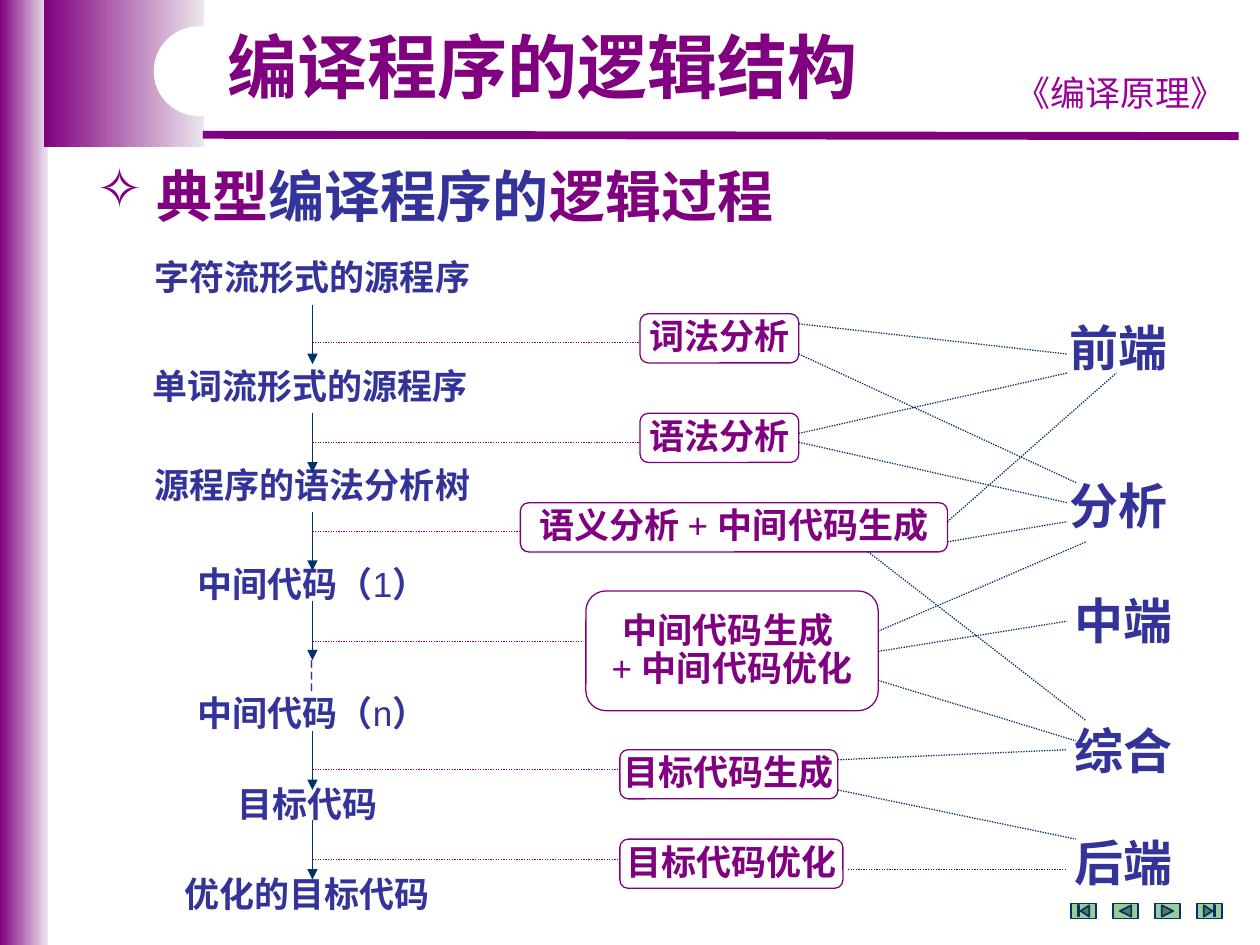
"""Builds a slide on the logical structure of a compiler."""
from lxml import etree
from pptx import Presentation
from pptx.dml.color import RGBColor
from pptx.enum.dml import MSO_LINE
from pptx.enum.shapes import MSO_CONNECTOR, MSO_SHAPE
from pptx.enum.text import MSO_ANCHOR, MSO_AUTO_SIZE, PP_ALIGN
from pptx.oxml.ns import qn
from pptx.util import Inches, Pt

THEME = {
    "purple": RGBColor(0x80, 0x00, 0x80),
    "pale": RGBColor(0xED, 0xE7, 0xED),
    "magenta": RGBColor(0x99, 0x00, 0x99),
    "blue": RGBColor(0x33, 0x33, 0x99),
    "navy": RGBColor(0x00, 0x33, 0x66),
    "green": RGBColor(0x99, 0xCC, 0x99),
    "white": RGBColor(0xFF, 0xFF, 0xFF),
    "title": Pt(40),
    "heading": Pt(32),
    "side": Pt(28),
    "body": Pt(20),
    "font": "Arial",
    "tag_font": "Comic Neue",
    "dash_font": "Noto Sans CJK SC",
}
PLAIN = {"bold": False}
RECTANGLE, ROUNDED = MSO_SHAPE.RECTANGLE, MSO_SHAPE.ROUNDED_RECTANGLE
STRAIGHT, DOTTED = MSO_CONNECTOR.STRAIGHT, MSO_LINE.ROUND_DOT
TOP, MIDDLE = MSO_ANCHOR.TOP, MSO_ANCHOR.MIDDLE
FIXED, CENTER, LEFT = MSO_AUTO_SIZE.NONE, PP_ALIGN.CENTER, PP_ALIGN.LEFT


def write_text(shape, lines, size, color, wrap=True, anchor=TOP, spacing=0.9, align=CENTER, **changes):
    frame = shape.text_frame
    frame_format = {"auto_size": FIXED, "word_wrap": wrap, "vertical_anchor": anchor}
    for name, value in frame_format.items():
        setattr(frame, name, value)
    for index, runs in enumerate(lines):
        paragraph = frame.add_paragraph() if index else frame.paragraphs[0]
        paragraph.alignment, paragraph.line_spacing = align, spacing
        for text, run_changes in runs:
            run = paragraph.add_run()
            run.text = text
            font_format = {"name": THEME["font"], "size": size, "bold": True, "color": color}
            font_format.update(changes)
            font_format.update(run_changes)
            run.font.color.rgb = font_format.pop("color")
            for name, value in font_format.items():
                setattr(run.font, name, value)


def draw_line(start, end, color, width=0.75, dash=None, arrow=False):
    connector = slide.shapes.add_connector(STRAIGHT, *map(Inches, start + end))
    connector.line.color.rgb = color
    connector.line.width = Pt(width)
    if dash is not None:
        connector.line.dash_style = dash
    if arrow:
        etree.SubElement(connector.line._get_or_add_ln(), qn("a:tailEnd"), type="triangle")
    etree.SubElement(connector._element.spPr, qn("a:effectLst"))


presentation = Presentation()
presentation.slide_width, presentation.slide_height = Inches(10), Inches(7.5)
slide = presentation.slides.add_slide(presentation.slide_layouts[5])

for bounds in [(0, 0, 0.38, 7.5), (0.35, 0, 1.27, 1.17)]:
    band = slide.shapes.add_shape(RECTANGLE, *map(Inches, bounds))
    band.shadow.inherit = False
    band.line.fill.background()
    band.fill.gradient()
    band.fill.gradient_angle = 0
    for stop, color in zip(band.fill.gradient_stops, ("purple", "pale")):
        stop.color.rgb = THEME[color]

draw_line((1.61, 1.07), (9.83, 1.08), THEME["purple"], width=4.5)
course_tag = slide.shapes.add_textbox(Inches(7.91), Inches(0.52), Inches(1.97), Inches(0.43))
write_text(course_tag, [[("《编译原理》", {})]], THEME["body"], THEME["magenta"],
           spacing=1, name=THEME["tag_font"], bold=False)

notch = slide.shapes.add_shape(ROUNDED, Inches(1.22), Inches(0.21), Inches(3.62), Inches(0.71))
notch.shadow.inherit = False
notch.adjustments[0] = 0.5
notch.fill.solid()
notch.fill.fore_color.rgb = THEME["white"]
notch.line.fill.background()

buttons = [MSO_SHAPE.ACTION_BUTTON_BEGINNING, MSO_SHAPE.ACTION_BUTTON_BACK_OR_PREVIOUS,
           MSO_SHAPE.ACTION_BUTTON_FORWARD_OR_NEXT, MSO_SHAPE.ACTION_BUTTON_END]
for index, kind in enumerate(buttons):
    button = slide.shapes.add_shape(kind, Inches(8.5 + index / 3), Inches(7.17), Inches(0.2), Inches(0.12))
    button.shadow.inherit = False
    button.fill.solid()
    button.fill.fore_color.rgb = THEME["green"]
    button.line.color.rgb = THEME["navy"]
    button.line.width = Pt(1)

title = slide.shapes.title
title.left, title.top, title.width, title.height = map(Inches, (1.65, 0.21, 5.31, 0.7))
title.element.getparent().append(title.element)
write_text(title, [[("编译程序的逻辑结构", {})]], THEME["title"], THEME["purple"])

heading = slide.shapes.add_textbox(Inches(0.67), Inches(1.23), Inches(5.79), Inches(0.63))
properties = heading.text_frame.paragraphs[0]._p.get_or_add_pPr()
bullet_color = etree.SubElement(properties, qn("a:buClr"))
etree.SubElement(bullet_color, qn("a:srgbClr"), val=str(THEME["purple"]))
etree.SubElement(properties, qn("a:buChar"), char="✧")
write_text(heading, [[(" 典型", {}), ("编译程序的", {"color": THEME["blue"]}), ("逻辑过程", {})]],
           THEME["heading"], THEME["purple"], spacing=1, align=LEFT)

program_forms = [
    (1.06, 2.02, 2.84, 0.4, [[("字符流形式的源程序", {})]]),
    (1.04, 2.88, 2.84, 0.4, [[("单词流形式的源程序", {})]]),
    (1.06, 3.67, 2.84, 0.4, [[("源程序的语法分析树", {})]]),
    (1.06, 4.45, 2.84, 0.4, [[("中间代码（", {}), ("1", PLAIN), ("）", {})]]),
    (1.06, 5.18, 2.84, 0.7, [[("┆", {"name": THEME["dash_font"]})],
                             [("中间代码（", {}), ("n", PLAIN), ("）", {})]]),
    (1.77, 6.2, 1.34, 0.4, [[("目标代码", {})]]),
    (1.3, 6.91, 2.28, 0.4, [[("优化的目标代码", {})]]),
]
for *bounds, lines in program_forms:
    form = slide.shapes.add_textbox(*map(Inches, bounds))
    write_text(form, lines, THEME["body"], THEME["blue"])

for left, top, text in [(8.39, 2.52, "前端"), (8.39, 3.78, "分析"), (8.43, 4.69, "中端"),
                        (8.43, 5.72, "综合"), (8.43, 6.61, "后端")]:
    side_label = slide.shapes.add_textbox(Inches(left), Inches(top), Inches(0.98), Inches(0.52))
    write_text(side_label, [[(text, {})]], THEME["side"], THEME["blue"], wrap=False)

phases = [
    (5.08, 2.49, 1.26, 0.39, [[("词法分析", {})]]),
    (5.08, 3.28, 1.26, 0.39, [[("语法分析", {})]]),
    (4.13, 3.99, 3.39, 0.39, [[("语义分析 ", {}), ("+ ", PLAIN), ("中间代码生成", {})]]),
    (4.65, 4.69, 2.32, 0.95, [[("中间代码生成 ", {})], [("+ ", PLAIN), ("中间代码优化", {})]]),
    (4.92, 5.95, 1.73, 0.39, [[("目标代码生成", {})]]),
    (4.92, 6.66, 1.77, 0.39, [[("目标代码优化", {})]]),
]
for *bounds, lines in phases:
    phase = slide.shapes.add_shape(ROUNDED, *map(Inches, bounds))
    phase.shadow.inherit = False
    phase.adjustments[0] = 0.167
    phase.fill.solid()
    phase.fill.fore_color.rgb = THEME["white"]
    phase.line.color.rgb = THEME["purple"]
    phase.line.width = Pt(0.75)
    write_text(phase, lines, THEME["body"], THEME["purple"], wrap=False, anchor=MIDDLE)

flow_x = 2.48
for top in (2.42, 3.28, 4.06, 4.77, 5.8, 6.51):
    draw_line((flow_x, top), (flow_x, top + 0.47), THEME["navy"], arrow=True)

for y, right in [(2.72, 5.08), (3.51, 5.08), (4.22, 4.13), (5.09, 4.61), (6.11, 4.92), (6.82, 4.92)]:
    draw_line((flow_x, y), (right, y), THEME["purple"], dash=DOTTED)

phase_links = [
    ((6.34, 2.57), (8.47, 2.81)), ((6.34, 2.81), (8.54, 3.83)),
    ((6.34, 3.44), (8.47, 2.96)), ((6.34, 3.51), (8.47, 3.99)),
    ((7.52, 4.14), (8.86, 2.96)), ((7.52, 4.3), (8.47, 4.14)),
    ((6.89, 4.38), (8.62, 5.72)), ((6.97, 5.01), (8.62, 4.3)),
    ((6.97, 5.17), (8.47, 4.93)), ((6.97, 5.4), (8.54, 5.88)),
    ((6.65, 6.03), (8.47, 5.95)), ((6.65, 6.27), (8.54, 6.66)),
    ((6.73, 6.9), (8.47, 6.9)),
]
for start, end in phase_links:
    draw_line(start, end, THEME["navy"], dash=DOTTED)

presentation.save("out.pptx")
